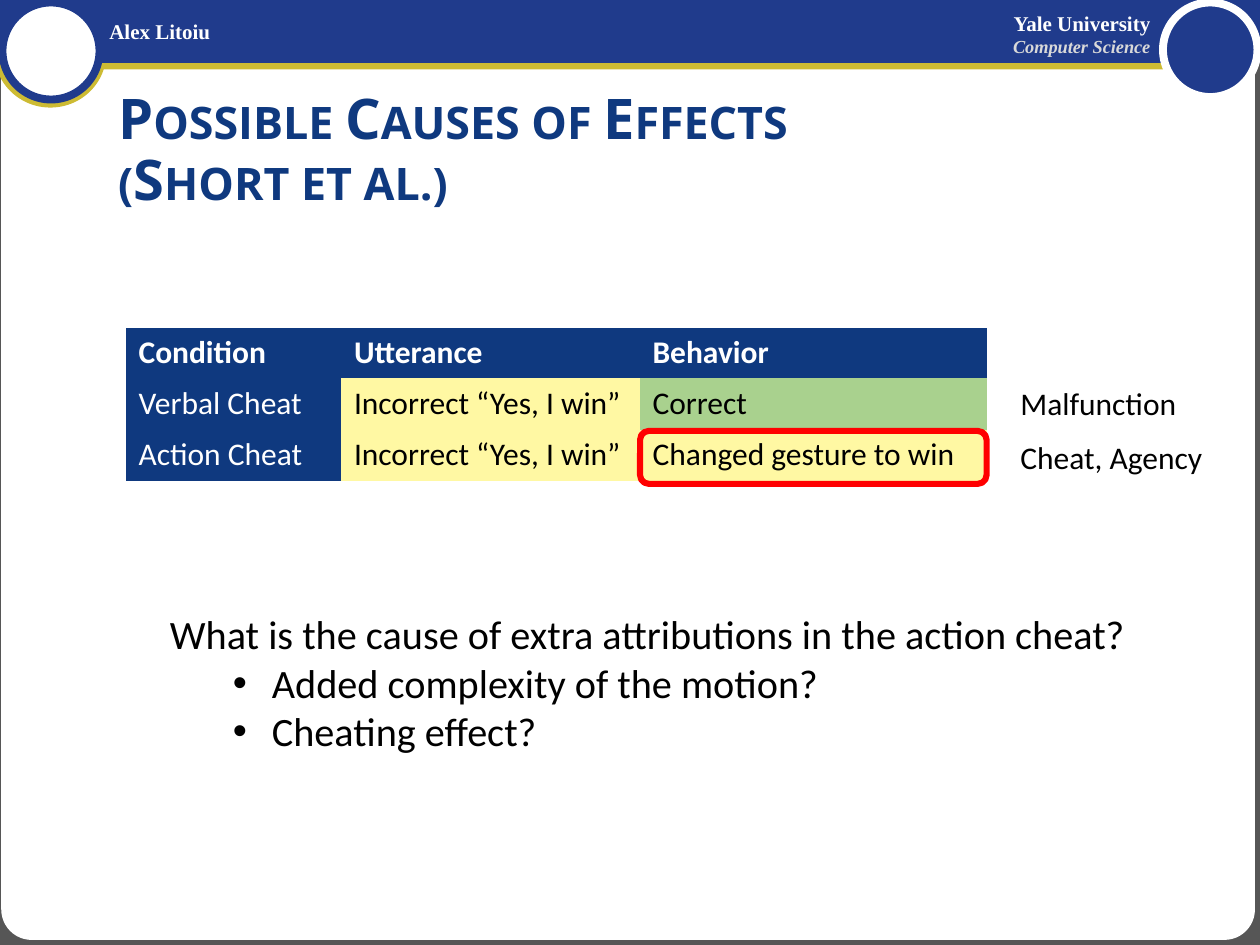
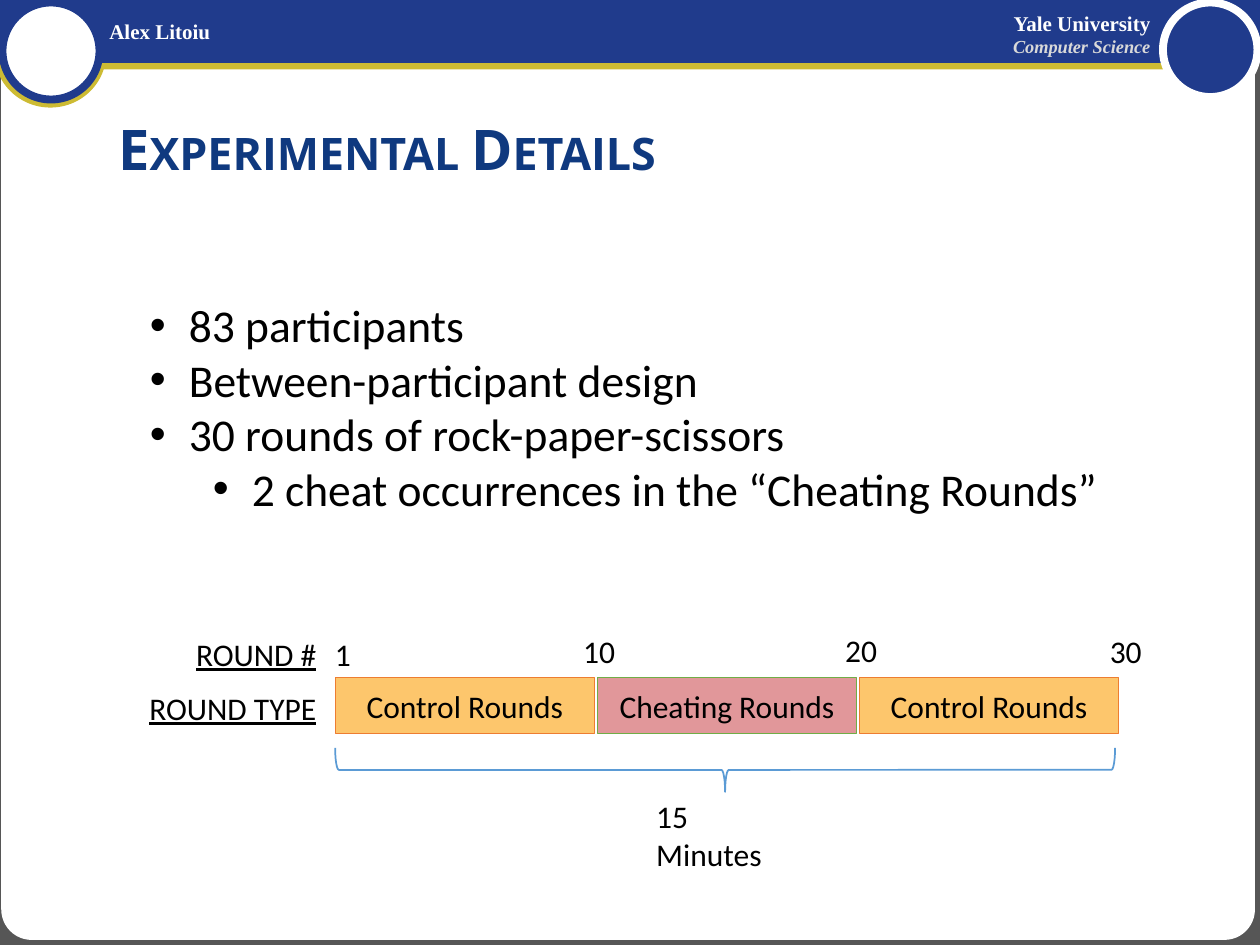
from dataclasses import dataclass

import pptx
import pptx.dml.color
import pptx.enum.shapes
import pptx.enum.text
import pptx.oxml
import pptx.oxml.ns
import pptx.util

Inches = pptx.util.Inches
SHAPE = pptx.enum.shapes.MSO_SHAPE
ALIGN = pptx.enum.text.PP_ALIGN
ANCHOR = pptx.enum.text.MSO_ANCHOR


@dataclass(frozen=True)
class Theme:
    backdrop: str = "565656"
    white: str = "FFFFFF"
    black: str = "000000"
    gold: str = "CDBB33"
    band: str = "203B8C"
    subtle: str = "D9D9D9"
    navy: str = "0F397F"
    yellow: str = "FFF8A3"
    green: str = "A9D18E"
    red: str = "FF0000"
    orange: str = "FDC66C"
    orange_edge: str = "ED7D31"
    rose: str = "E1979A"
    rose_edge: str = "70AD47"
    brace: str = "5B9BD5"
    body_font: str = "Calibri"
    title_font: str = "Open Sans"
    header_font: str = "Times New Roman"
    title_size: float = 32
    list_size: float = 26
    question_size: float = 23
    label_size: float = 18
    header_size: float = 12
    subheader_size: float = 10.5


T = Theme()
NO_STYLE = "{2D5ABB26-0587-4C30-8999-92F81FD0307C}"


def rgb(color):
    return pptx.dml.color.RGBColor.from_string(color)


def xml(text):
    return pptx.oxml.parse_xml(text.replace("NS", pptx.oxml.ns.nsdecls("a")))


def style_runs(p, size=T.label_size, color=T.black, font=T.body_font,
               bold=False, italic=False, underline=False):
    for r in p.runs:
        r.font.size = pptx.util.Pt(size)
        r.font.color.rgb = rgb(color)
        r.font.name = font
        r.font.bold = bold
        r.font.italic = italic
        r.font.underline = underline


def add_text(s, box, text, align=ALIGN.LEFT, anchor=ANCHOR.TOP, **style):
    sp = s.shapes.add_textbox(*map(Inches, box))
    tf = sp.text_frame
    tf.word_wrap = True
    tf.vertical_anchor = anchor
    tf.text = text
    for p in tf.paragraphs:
        p.alignment = align
        style_runs(p, **style)
    return tf


def add_bullet(p, level):
    p.level = level
    pPr = p._p.get_or_add_pPr()
    pPr.set("marL", str(Inches(0.31 + 0.5 * level)))
    pPr.set("indent", str(Inches(-0.31)))
    pPr.append(xml('<a:buFont NS typeface="Arial"/>'))
    pPr.append(xml('<a:buChar NS char="•"/>'))


def add_shape(s, kind, box, fill=None, line=None, width=1):
    sp = s.shapes.add_shape(kind, *map(Inches, box))
    sp.shadow.inherit = False
    if fill:
        sp.fill.solid()
        sp.fill.fore_color.rgb = rgb(fill)
    else:
        sp.fill.background()
    if line:
        sp.line.color.rgb = rgb(line)
        sp.line.width = pptx.util.Pt(width)
    else:
        sp.line.fill.background()
    return sp


def add_frame(s, box):
    x, y, w, h = box
    add_shape(s, SHAPE.RECTANGLE, box, T.backdrop)
    page = add_shape(s, SHAPE.ROUNDED_RECTANGLE,
                     (x + 0.01, y + 0.12, w - 0.05, h - 0.16), T.white)
    page.adjustments[0] = 0.033
    add_shape(s, SHAPE.OVAL, (x - 0.03, y, 0.86, 0.84), T.gold, T.gold, 2)
    add_shape(s, SHAPE.RECTANGLE, (x + 0.77, y + 0.5, w - 1.29, 0.05), T.gold)
    add_shape(s, SHAPE.RECTANGLE, (x, y - 0.01, w, 0.51), T.band)
    header = dict(font=T.header_font, bold=True)
    add_text(s, (x + 0.77, y + 0.1, 2.83, 0.3), "Alex Litoiu",
             size=T.header_size, color=T.white, **header)
    add_text(s, (x + w - 5.93, y + 0.03, 5.16, 0.3), "Yale University",
             ALIGN.RIGHT, ANCHOR.BOTTOM, size=T.header_size, color=T.white, **header)
    add_text(s, (x + w - 6.24, y + 0.23, 5.47, 0.29), "Computer Science",
             ALIGN.RIGHT, size=T.subheader_size, color=T.subtle, italic=True, **header)
    add_shape(s, SHAPE.OVAL, (x + 0.02, y + 0.02, 0.77, 0.77), T.white, T.band, 4.5)
    add_shape(s, SHAPE.OVAL, (x + w - 0.77, y + 0.02, 0.75, 0.75), T.band, T.white, 4.5)


def add_title(s, box, text):
    tf = add_text(s, box, text, anchor=ANCHOR.MIDDLE, size=T.title_size,
                  color=T.navy, font=T.title_font, bold=True)
    p = tf.paragraphs[0]
    p.line_spacing = 0.9
    for r in p.runs:
        r.font._element.set("cap", "small")


def add_row_table(s, box, widths, texts, fills, bold):
    table = s.shapes.add_table(1, len(texts), *map(Inches, box)).table
    table._tbl.tblPr.find(pptx.oxml.ns.qn("a:tableStyleId")).text = NO_STYLE
    table.first_row = bold
    table.horz_banding = False
    for j, (width, text, fill) in enumerate(zip(widths, texts, fills)):
        table.columns[j].width = Inches(width)
        cell = table.cell(0, j)
        cell.text = text
        cell.fill.solid()
        cell.fill.fore_color.rgb = rgb(fill)
        style_runs(cell.text_frame.paragraphs[0], bold=bold,
                   color=T.white if fill == T.navy else T.black)


def add_conditions(s, box):
    x, y, w, h = box
    widths = (1.71, 2.37, w - 4.08)
    row_h = 0.41
    tops = (y, y + h - 2 * row_h, y + h - row_h)
    heights = (h - 2 * row_h, row_h, row_h)
    rows = (
        ("Condition", "Utterance", "Behavior"),
        ("Verbal Cheat", "Incorrect “Yes, I win”", "Correct"),
        ("Action Cheat", "Incorrect “Yes, I win”", "Changed gesture to win"),
    )
    fills = (
        (T.navy, T.navy, T.navy),
        (T.navy, T.yellow, T.green),
        (T.navy, T.yellow, T.yellow),
    )
    for i, (top, height) in enumerate(zip(tops, heights)):
        add_row_table(s, (x, top, w, height), widths, rows[i], fills[i], i == 0)
    add_shape(s, SHAPE.ROUNDED_RECTANGLE, (x + 4.08, tops[2] + 0.01, widths[2], 0.42),
              line=T.red, width=3.5)
    for i, attribution in enumerate(("Malfunction", "Cheat, Agency")):
        add_text(s, (x + w + 0.17, y + 0.4 + 0.43 * i, 1.67, 0.4), attribution)


def add_question(s, box):
    tf = add_text(s, box, "What is the cause of extra attributions in the action cheat?\n"
                  "Added complexity of the motion?\nCheating effect?", size=T.question_size)
    for p in tf.paragraphs[1:]:
        add_bullet(p, 1)


def add_details(s, box):
    tf = add_text(s, box, "83 participants\nBetween-participant design\n"
                  "30 rounds of rock-paper-scissors\n"
                  "2 cheat occurrences in the “Cheating Rounds”", size=T.list_size)
    for p, level in zip(tf.paragraphs, (0, 0, 0, 1)):
        add_bullet(p, level)


def add_timeline(s, box):
    x, y, w, h = box
    pitch = 2.08
    control = ("Control Rounds", T.orange, T.orange_edge)
    cheating = ("Cheating Rounds", T.rose, T.rose_edge)
    for i, (name, fill, edge) in enumerate((control, cheating, control)):
        sp = add_shape(s, SHAPE.RECTANGLE, (x + pitch * i, y, pitch - 0.02, h),
                       fill, edge, 0.5)
        tf = sp.text_frame
        tf.margin_left = tf.margin_right = 0
        tf.vertical_anchor = ANCHOR.MIDDLE
        tf.text = name
        p = tf.paragraphs[0]
        p.alignment = ALIGN.CENTER
        style_runs(p)
    for name, dy in (("ROUND #", -0.39), ("ROUND TYPE", 0.04)):
        add_text(s, (x - 1.58, y + dy, 1.53, 0.4), name, ALIGN.RIGHT, underline=True)
    numbers = (("1", -0.1, -0.39), ("10", 1.87, -0.41),
               ("20", 3.95, -0.42), ("30", 6.05, -0.41))
    for number, dx, dy in numbers:
        add_text(s, (x + dx, y + dy, 0.46, 0.4), number)
    span, depth = w - 0.03, 0.35
    brace = add_shape(s, SHAPE.LEFT_BRACE,
                      (x + (span - depth) / 2, y + 0.73 - span / 2, depth, span),
                      line=T.brace)
    brace.rotation = 270
    add_text(s, (x + 2.45, y + 0.9, 1.28, 0.38), "15 Minutes")


def new_slide(prs, title, title_width):
    s = prs.slides.add_slide(prs.slide_layouts[6])
    add_frame(s, (0, 0, 10, 7.5))
    add_title(s, (0.84, 0.58, title_width, 1.25), title)
    return s


def main():
    prs = pptx.Presentation()
    prs.slide_width, prs.slide_height = Inches(10), Inches(7.5)

    s = new_slide(prs, "Possible Causes of Effects \v(Short et al.)", 8.33)
    add_question(s, (1.25, 4.79, 7.83, 1.26))
    add_conditions(s, (1, 2.6, 6.83, 1.22))

    s = new_slide(prs, "Experimental Details", 8.17)
    add_details(s, (1.09, 2.31, 8.08, 1.85))
    add_timeline(s, (2.66, 5.38, 6.22, 0.44))

    prs.save("out.pptx")


if __name__ == "__main__":
    main()
